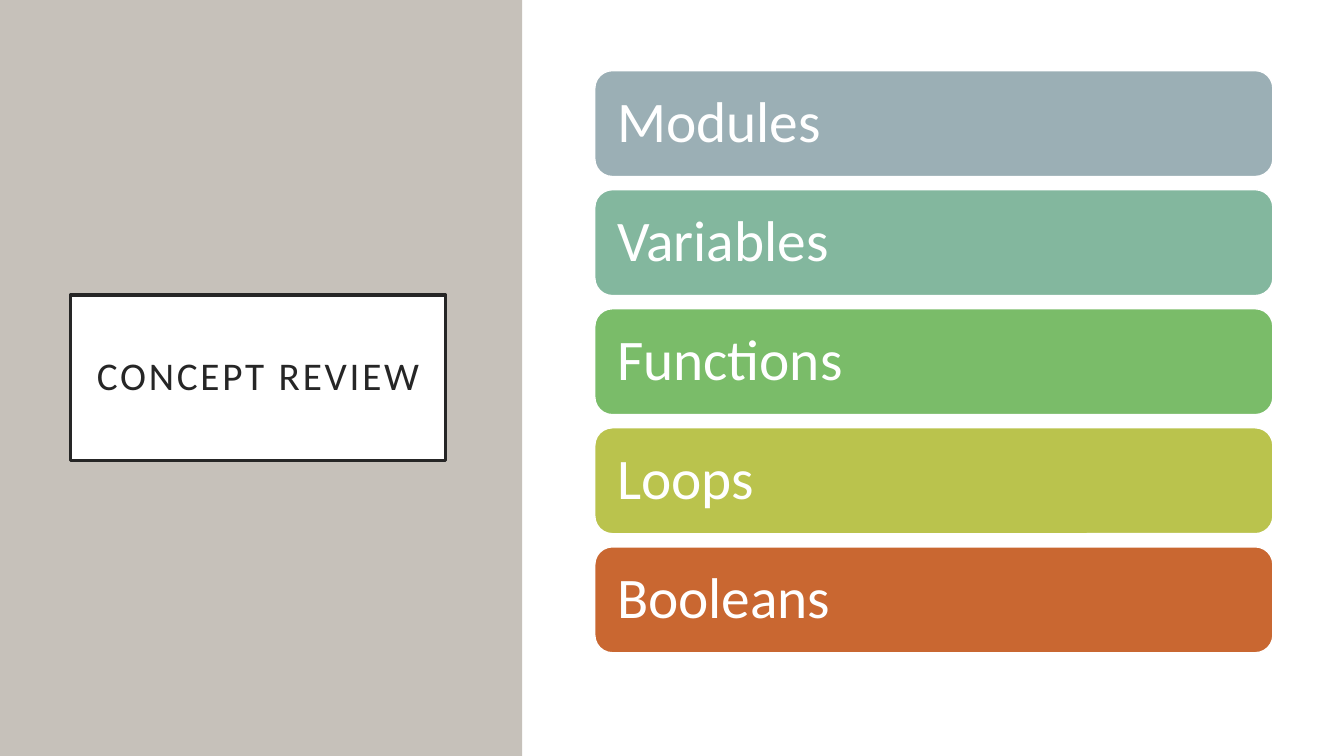
"""Build the concept review slide."""
from dataclasses import dataclass

from pptx import Presentation
from pptx import util as u
from pptx.dml.color import RGBColor
from pptx.enum import shapes, text

HUES = {
    "white": "FFFFFF", "ink": "262626", "stone": "C6C1BA", "slate": "9BAFB5",
    "sage": "83B79E", "green": "7ABC69", "lime": "BAC34D", "rust": "C96731",
}
RECT = shapes.MSO_SHAPE.RECTANGLE
ROUND = shapes.MSO_SHAPE.ROUNDED_RECTANGLE
LEFT, CENTER = text.PP_ALIGN.LEFT, text.PP_ALIGN.CENTER
TOPICS = [
    ("Modules", "slate"), ("Variables", "sage"), ("Functions", "green"),
    ("Loops", "lime"), ("Booleans", "rust"),
]
TOP, STEP = 1.78, 3.0


@dataclass
class Box:
    left: float
    top: float
    width: float
    height: float
    fill: str
    kind: int = RECT
    line: str = ""
    weight: float = 0


@dataclass
class Label:
    words: str
    size: float
    color: str
    align: int
    inset: float
    track: float = 0


def hue(name: str) -> RGBColor:
    return RGBColor.from_string(HUES[name])


def draw(slide, box: Box):
    shape = slide.shapes.add_shape(
        box.kind, u.Cm(box.left), u.Cm(box.top), u.Cm(box.width), u.Cm(box.height))
    shape.shadow.inherit = False
    shape.fill.solid()
    shape.fill.fore_color.rgb = hue(box.fill)
    if box.line:
        shape.line.color.rgb = hue(box.line)
        shape.line.width = u.Pt(box.weight)
    else:
        shape.line.fill.background()
    return shape


def write(shape, label: Label) -> None:
    frame = shape.text_frame
    frame.word_wrap = True
    frame.vertical_anchor = text.MSO_ANCHOR.MIDDLE
    frame.margin_left = frame.margin_right = u.Cm(label.inset)
    frame.margin_top = frame.margin_bottom = u.Cm(label.inset)
    para = frame.paragraphs[0]
    para.alignment = label.align
    para.line_spacing = 0.9
    run = para.add_run()
    run.text = label.words
    run.font.name = "Calibri"
    run.font.size = u.Pt(label.size)
    run.font.color.rgb = hue(label.color)
    if label.track:
        run._r.get_or_add_rPr().set("spc", str(round(label.track * 100)))


def main() -> None:
    deck = Presentation()
    deck.slide_width, deck.slide_height = u.Cm(33.87), u.Cm(19.05)
    slide = deck.slides.add_slide(deck.slide_layouts[6])
    draw(slide, Box(0, 0, 13.16, 19.05, "stone"))
    title = draw(slide, Box(1.78, 7.44, 9.45, 4.17, "white", RECT, "ink", 2.5))
    write(title, Label("CONCEPT REVIEW", 28, "ink", CENTER, 0.5, 2))
    draw(slide, Box(13.2, 0, 20.67, 19.05, "white"))
    for row, (words, fill) in enumerate(TOPICS):
        bar = draw(slide, Box(
            14.99, TOP + row * STEP, 17.09, 2.67, fill, ROUND, "white", 1))
        write(bar, Label(words, 41, "white", LEFT, 0.43))
    deck.save("out.pptx")


if __name__ == "__main__":
    main()
